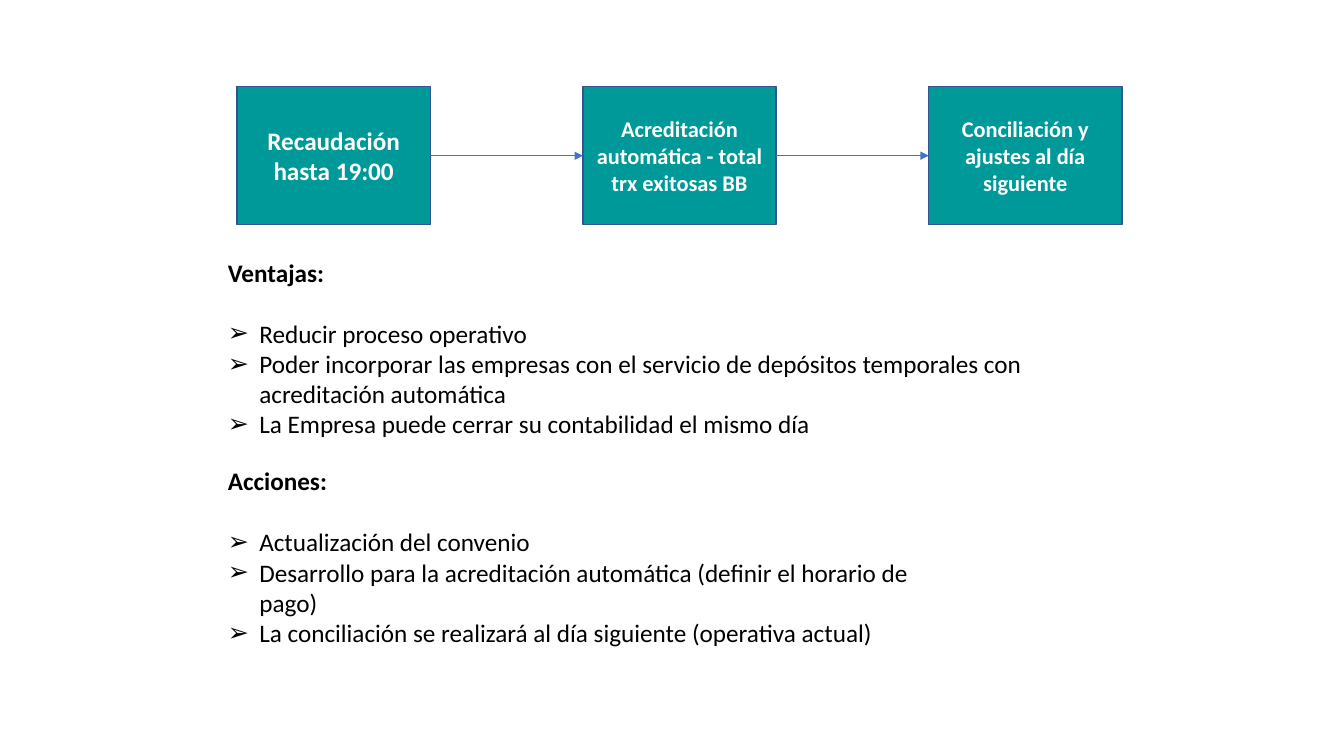
from lxml.etree import SubElement
from pptx import Presentation
from pptx.dml.color import RGBColor
from pptx.enum.shapes import MSO_CONNECTOR, MSO_SHAPE
from pptx.enum.text import MSO_ANCHOR, MSO_AUTO_SIZE, PP_ALIGN
from pptx.oxml.ns import qn
from pptx.util import Pt

COLORS = {
    "step": "009999",
    "border": "325491",
    "arrow": "4472C4",
    "light": "FFFFFF",
    "dark": "000000",
}
STEPS = [
    ("Recaudación hasta 19:00", 18),
    ("Acreditación automática - total trx exitosas BB", 16),
    ("Conciliación y ajustes al día siguiente", 16),
]
STEP_LEFT, STEP_TOP, STEP_WIDTH, STEP_HEIGHT, STEP_PITCH = 169.4, 62, 138, 98.5, 247
LIST_LEFT, LIST_HEIGHT, LIST_INDENT, LINE_HEIGHT = 155.5, 160, 22.5, 22
SECTIONS = [
    ("Ventajas:", 180, 618, [
        "Reducir proceso operativo",
        "Poder incorporar las empresas con el servicio de depósitos temporales con acreditación automática",
        "La Empresa puede cerrar su contabilidad el mismo día",
    ]),
    ("Acciones:", 329, 521, [
        "Actualización del convenio",
        "Desarrollo para la acreditación automática (definir el horario de pago)",
        "La conciliación se realizará al día siguiente (operativa actual)",
    ]),
]


def rgb(key):
    return RGBColor.from_string(COLORS[key])


def set_attributes(target, values):
    for name, value in values.items():
        setattr(target, name, value)


def add_text(paragraph, text, size, color, bold):
    run = paragraph.add_run()
    run.text = text
    set_attributes(run.font, {"name": "Calibri", "size": Pt(size), "bold": bold})
    run.font.color.rgb = rgb(color)


def add_step(slide, position, label, size):
    step = slide.shapes.add_shape(
        MSO_SHAPE.RECTANGLE, Pt(STEP_LEFT + position * STEP_PITCH), Pt(STEP_TOP),
        Pt(STEP_WIDTH), Pt(STEP_HEIGHT))
    step.shadow.inherit = False
    step.fill.solid()
    step.fill.fore_color.rgb = rgb("step")
    step.line.color.rgb = rgb("border")
    step.line.width = Pt(1)
    set_attributes(step.text_frame, {"word_wrap": True, "vertical_anchor": MSO_ANCHOR.MIDDLE})
    paragraph = step.text_frame.paragraphs[0]
    paragraph.alignment = PP_ALIGN.CENTER
    add_text(paragraph, label, size, "light", True)
    return step


def add_arrow(slide, source, target):
    arrow = slide.shapes.add_connector(MSO_CONNECTOR.STRAIGHT, Pt(0), Pt(0), Pt(0), Pt(0))
    arrow.begin_connect(source, 3)
    arrow.end_connect(target, 1)
    arrow.line.color.rgb = rgb("arrow")
    arrow.line.width = Pt(0.5)
    SubElement(arrow.line._get_or_add_ln(), qn("a:tailEnd"), type="triangle")
    SubElement(arrow._element.spPr, qn("a:effectLst"))


def format_paragraph(paragraph, indent, bullet, space_after):
    properties = paragraph._p.get_or_add_pPr()
    properties.set("marL", str(Pt(indent)))
    properties.set("indent", str(-Pt(indent)))
    if bullet:
        SubElement(properties, qn("a:buChar"), char=bullet)
    else:
        SubElement(properties, qn("a:buNone"))
    set_attributes(paragraph, {
        "alignment": PP_ALIGN.LEFT,
        "line_spacing": 1.0,
        "space_before": Pt(0),
        "space_after": Pt(space_after),
    })


def fill_section(body, heading, top, width, items):
    set_attributes(body, {
        "left": Pt(LIST_LEFT), "top": Pt(top), "width": Pt(width), "height": Pt(LIST_HEIGHT),
    })
    frame = body.text_frame
    set_attributes(frame, {
        "word_wrap": True,
        "auto_size": MSO_AUTO_SIZE.SHAPE_TO_FIT_TEXT,
        "vertical_anchor": MSO_ANCHOR.TOP,
    })
    title = frame.paragraphs[0]
    format_paragraph(title, 0, None, LINE_HEIGHT)
    add_text(title, heading, 18, "dark", True)
    for item in items:
        entry = frame.add_paragraph()
        format_paragraph(entry, LIST_INDENT, "➢", 0)
        add_text(entry, item, 18, "dark", False)


def main():
    deck = Presentation()
    set_attributes(deck, {"slide_width": Pt(960), "slide_height": Pt(540)})
    slide = deck.slides.add_slide(deck.slide_layouts.get_by_name("Two Content"))
    unused_title = slide.shapes.title._element
    unused_title.getparent().remove(unused_title)

    steps = [add_step(slide, position, *step) for position, step in enumerate(STEPS)]
    for source, target in zip(steps, steps[1:]):
        add_arrow(slide, source, target)
    for body, section in zip(slide.placeholders, SECTIONS):
        fill_section(body, *section)

    deck.save("out.pptx")


if __name__ == "__main__":
    main()
